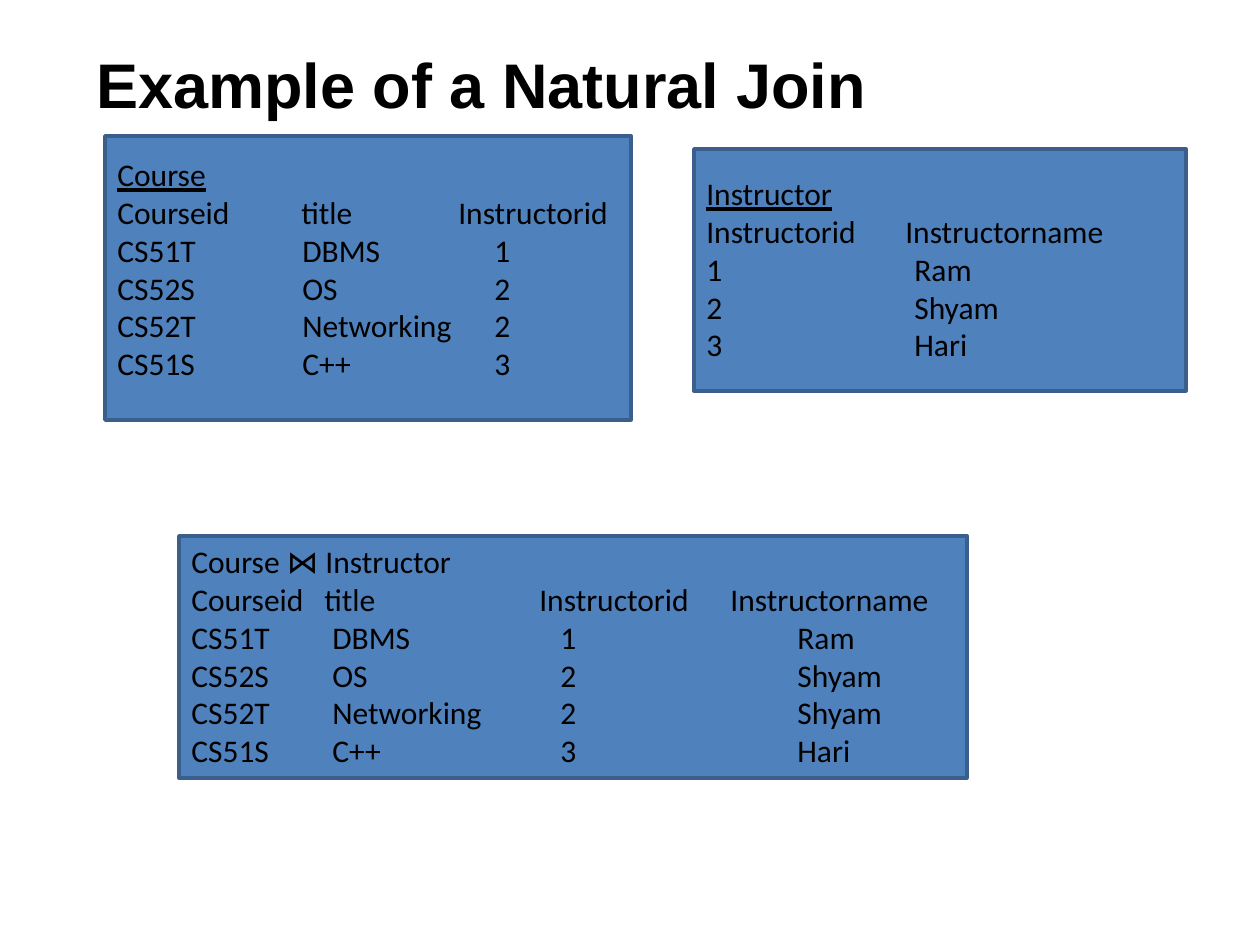
from pptx import Presentation
from pptx.dml.color import RGBColor
from pptx.enum.shapes import MSO_SHAPE as Shape
from pptx.enum.text import MSO_ANCHOR as Anchor
from pptx.oxml.ns import qn
from pptx.util import Emu, Pt
from lxml.etree import SubElement

PX_PER_INCH = 126


def px(length):
    return Emu(round(length * 914400 / PX_PER_INCH))


def color(value):
    return RGBColor.from_string(value)


class SlideBuilder:
    FILL, LINE, TEXT = "4F81BD", "3A5F8C", "000000"
    TITLE_FONT, BODY_FONT = "Arial", "Calibri"
    TITLE_SIZE, BODY_SIZE = 36, 18

    def __init__(self, slide):
        self.slide = slide

    def panel(self, box):
        shape = self.slide.shapes.add_shape(Shape.RECTANGLE, *map(px, box))
        shape.shadow.inherit = False
        shape.fill.solid()
        shape.fill.fore_color.rgb = color(self.FILL)
        shape.line.color.rgb = color(self.LINE)
        shape.line.width = Pt(2)

    def text_box(self, box):
        text_frame = self.slide.shapes.add_textbox(*map(px, box)).text_frame
        text_frame.word_wrap = True
        text_frame.vertical_anchor = Anchor.TOP
        return text_frame

    def style(self, paragraph, font_name, size, bold=False, underline=False):
        for run in paragraph.runs:
            run.font.name = font_name
            run.font.size = Pt(size)
            run.font.bold = bold
            run.font.underline = underline
            run.font.color.rgb = color(self.TEXT)

    def title(self, box, text, top_inset):
        text_frame = self.text_box(box)
        text_frame.margin_top = px(top_inset)
        text_frame.text = text
        self.style(text_frame.paragraphs[0], self.TITLE_FONT, self.TITLE_SIZE, bold=True)

    def tab_stops(self, paragraph, stops):
        tab_list = SubElement(paragraph._p.get_or_add_pPr(), qn("a:tabLst"))
        for stop in stops:
            SubElement(tab_list, qn("a:tab"), pos=str(px(stop)), algn="l")

    def relation(self, box, name, rows, header_stops, body_stops, underline=True):
        text_frame = self.text_box(box)
        text_frame.text = name
        self.style(text_frame.paragraphs[0], self.BODY_FONT, self.BODY_SIZE, underline=underline)
        for index, row in enumerate(rows):
            paragraph = text_frame.add_paragraph()
            self.tab_stops(paragraph, body_stops if index else header_stops)
            paragraph.text = "\t".join(row)
            self.style(paragraph, self.BODY_FONT, self.BODY_SIZE)


def main():
    presentation = Presentation()
    presentation.slide_width, presentation.slide_height = px(1260), px(945)
    builder = SlideBuilder(presentation.slides.add_slide(presentation.slide_layouts[6]))

    courses = [
        ("Courseid", "title", "Instructorid"),
        ("CS51T", "DBMS", "1"),
        ("CS52S", "OS", "2"),
        ("CS52T", "Networking", "2"),
        ("CS51S", "C++", "3"),
    ]
    instructors = [
        ("Instructorid", "Instructorname"),
        ("1", "Ram"),
        ("2", "Shyam"),
        ("3", "Hari"),
    ]
    names = dict(instructors)
    joined = [course + (names[course[-1]],) for course in courses]

    for box in ((179, 536, 788, 242), (694, 149, 492, 242), (105, 136, 526, 284)):
        builder.panel(box)

    builder.title((84, 32, 803, 118), "Example of a Natural Join", 14)
    builder.relation((105, 149, 620, 242), "Course", courses, (184, 341), (185, 377))
    builder.relation((694, 168, 492, 204), "Instructor", instructors, (199,), (208,))
    builder.relation((179, 536, 976, 242), "Course ⋈ Instructor", joined,
                     (133, 348, 539), (141, 369, 606), underline=False)

    presentation.save("out.pptx")


if __name__ == "__main__":
    main()
